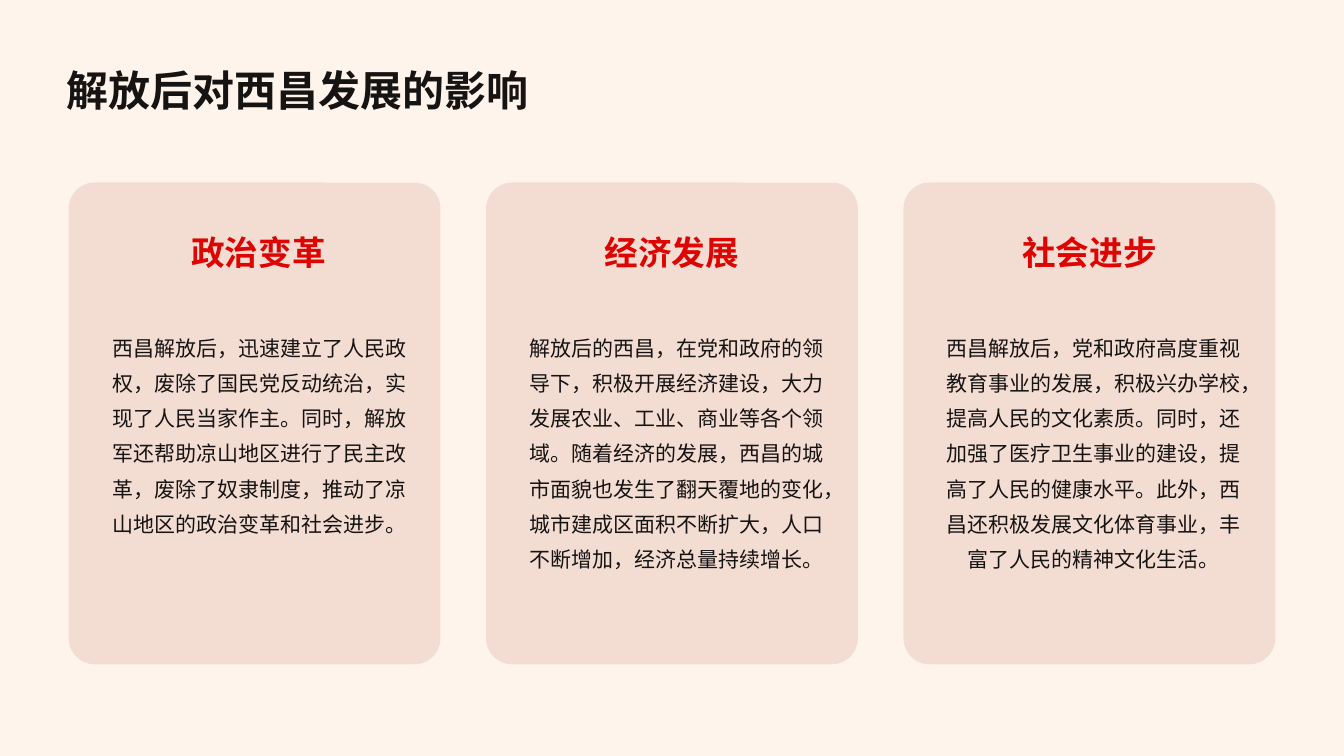
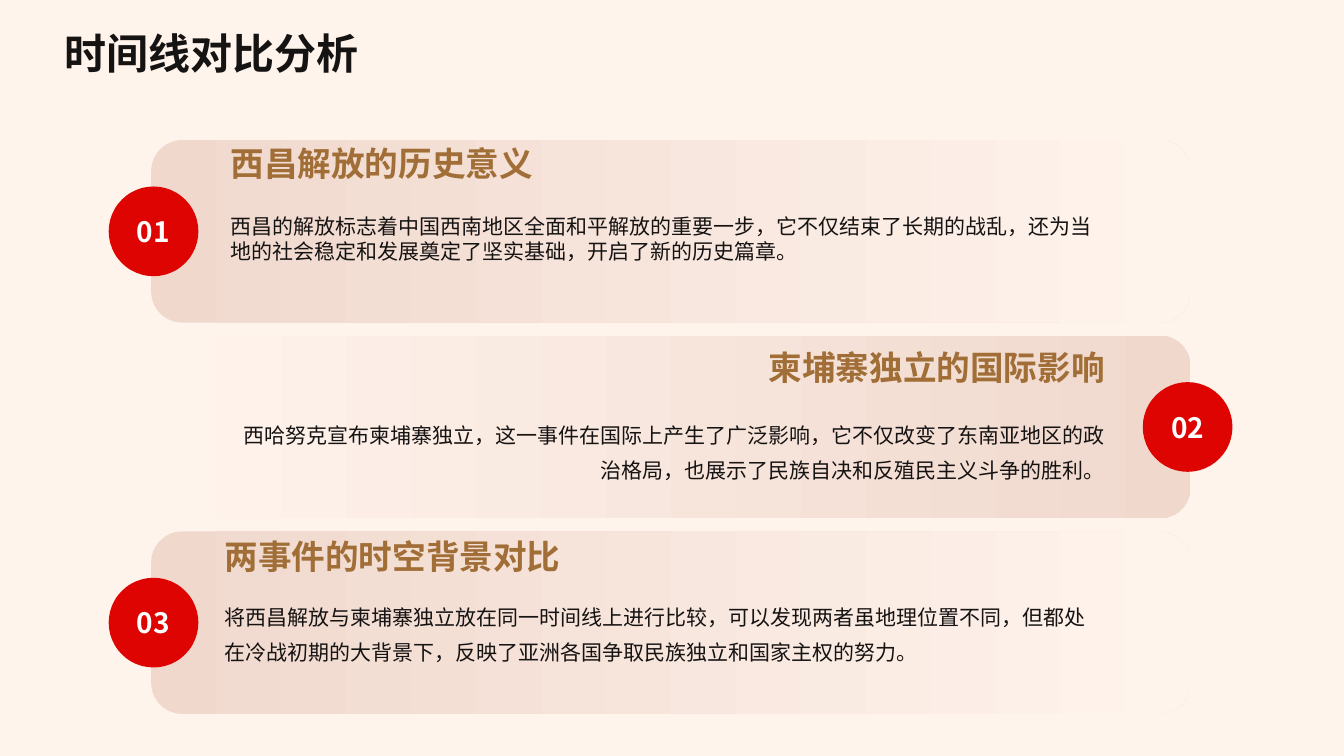
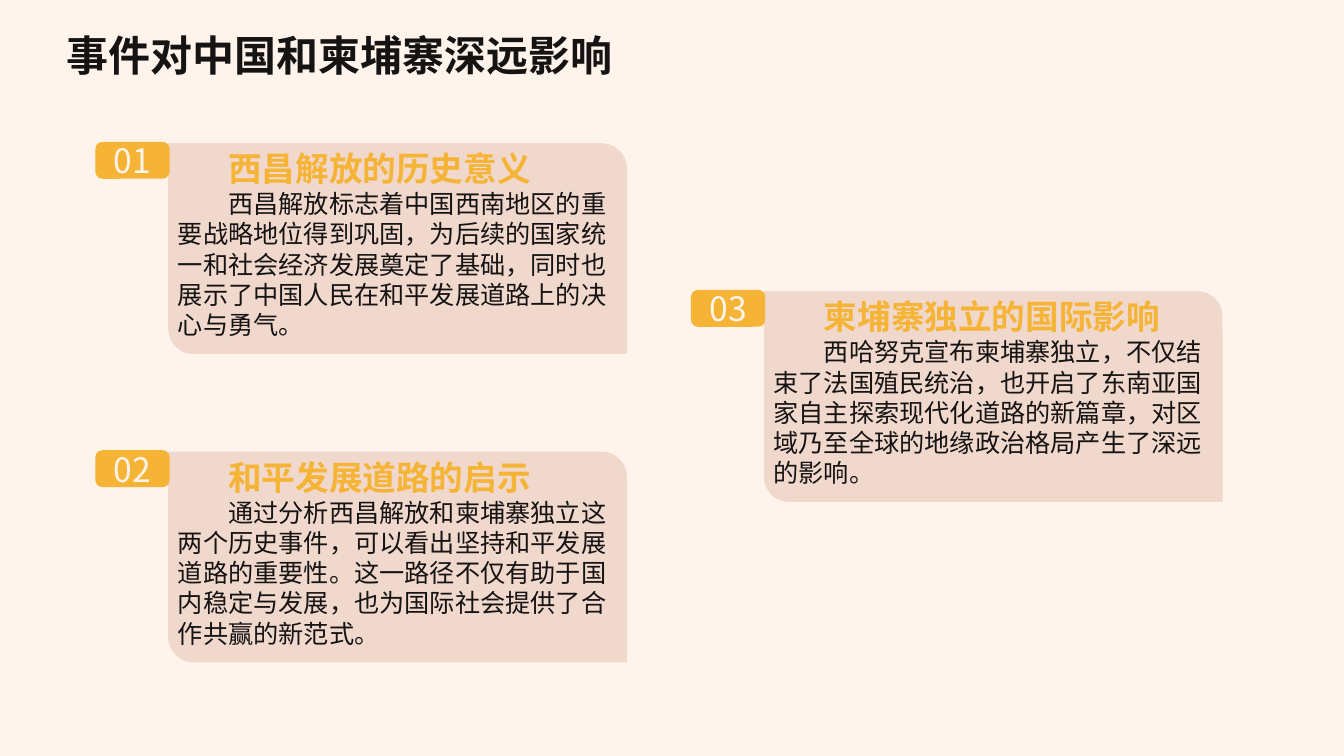
from dataclasses import dataclass

from lxml.etree import SubElement
from pptx import Presentation
from pptx.dml.color import RGBColor
from pptx.enum.shapes import MSO_SHAPE as Preset
from pptx.enum.text import MSO_ANCHOR as Anchor, MSO_AUTO_SIZE as AutoSize, PP_ALIGN as Align
from pptx.oxml.ns import qn
from pptx.util import Cm, Pt

CREAM = RGBColor(0xFF, 0xF4, 0xEC)
BLUSH = RGBColor(0xF0, 0xD8, 0xCD)
INK = RGBColor(0x16, 0x13, 0x13)
RED = RGBColor(0xDD, 0x04, 0x01)
BRONZE = RGBColor(0xA0, 0x6E, 0x36)
AMBER = RGBColor(0xF5, 0xB4, 0x36)
WHITE = RGBColor(0xFF, 0xFF, 0xFF)
FONT = "Noto Sans CJK SC"
NO_INSETS = (0, 0, 0, 0)


@dataclass(frozen=True)
class Style:
    size: float
    color: RGBColor
    bold: bool = False
    align: Align = Align.LEFT
    spacing: float = 1.0
    indent: float = 0


@dataclass(frozen=True)
class Card:
    heading: str
    body: str
    heading_shift: float = 0


@dataclass(frozen=True)
class Band:
    number: str
    heading: str
    body: str
    text_left: float
    heading_top: float
    body_top: float
    spacing: float = 1.4
    mirrored: bool = False


@dataclass(frozen=True)
class Panel:
    number: str
    heading: str
    body: str
    left: float
    top: float


TITLE = Style(30, INK, bold=True)
CARD_HEADING = Style(24, RED, bold=True, align=Align.CENTER)
CARD_BODY = Style(15, INK, align=Align.CENTER, spacing=1.4)
BADGE = Style(20, WHITE, bold=True, align=Align.CENTER)
PANEL_HEADING = Style(24, AMBER, bold=True, indent=1.27)
PANEL_BODY = Style(18, INK, indent=1.27)
TAB_NUMBER = Style(24, CREAM, align=Align.CENTER)

CARDS = [
    Card("政治变革", "西昌解放后，迅速建立了人民政权，废除了国民党反动统治，实现了人民当家作主。同时，解放军还帮助凉山地区进行了民主改革，废除了奴隶制度，推动了凉山地区的政治变革和社会进步。", 0.1),
    Card("经济发展", "解放后的西昌，在党和政府的领导下，积极开展经济建设，大力发展农业、工业、商业等各个领域。随着经济的发展，西昌的城市面貌也发生了翻天覆地的变化，城市建成区面积不断扩大，人口不断增加，经济总量持续增长。"),
    Card("社会进步", "西昌解放后，党和政府高度重视教育事业的发展，积极兴办学校，提高人民的文化素质。同时，还加强了医疗卫生事业的建设，提高了人民的健康水平。此外，西昌还积极发展文化体育事业，丰富了人民的精神文化生活。"),
]
BANDS = [
    Band("01", "西昌解放的历史意义", "西昌的解放标志着中国西南地区全面和平解放的重要一步，它不仅结束了长期的战乱，还为当地的社会稳定和发展奠定了坚实基础，开启了新的历史篇章。",
         5.51, 3.51, 5.23, spacing=1.0),
    Band("02", "柬埔寨独立的国际影响", "西哈努克宣布柬埔寨独立，这一事件在国际上产生了广泛影响，它不仅改变了东南亚地区的政治格局，也展示了民族自决和反殖民主义斗争的胜利。",
         5.36, 8.66, 10.24, mirrored=True),
    Band("03", "两事件的时空背景对比", "将西昌解放与柬埔寨独立放在同一时间线上进行比较，可以发现两者虽地理位置不同，但都处在冷战初期的大背景下，反映了亚洲各国争取民族独立和国家主权的努力。",
         5.36, 13.4, 14.83),
]
PANELS = [
    Panel("01", "西昌解放的历史意义", "西昌解放标志着中国西南地区的重要战略地位得到巩固，为后续的国家统一和社会经济发展奠定了基础，同时也展示了中国人民在和平发展道路上的决心与勇气。", 4.24, 3.61),
    Panel("02", "和平发展道路的启示", "通过分析西昌解放和柬埔寨独立这两个历史事件，可以看出坚持和平发展道路的重要性。这一路径不仅有助于国内稳定与发展，也为国际社会提供了合作共赢的新范式。", 4.24, 11.38),
    Panel("03", "柬埔寨独立的国际影响", "西哈努克宣布柬埔寨独立，不仅结束了法国殖民统治，也开启了东南亚国家自主探索现代化道路的新篇章，对区域乃至全球的地缘政治格局产生了深远的影响。", 19.25, 7.34),
]


def write(shape, lines: list[tuple[str, Style]], insets=NO_INSETS, anchor=Anchor.MIDDLE) -> None:
    frame = shape.text_frame
    frame.word_wrap = True
    frame.auto_size = AutoSize.NONE
    frame.vertical_anchor = anchor
    frame.margin_left, frame.margin_top, frame.margin_right, frame.margin_bottom = map(Cm, insets)
    for index, (text, style) in enumerate(lines):
        paragraph = frame.add_paragraph() if index else frame.paragraphs[0]
        paragraph.text = text
        paragraph.alignment = style.align
        paragraph.line_spacing = style.spacing
        font = paragraph.font
        font.size, font.bold, font.name = Pt(style.size), style.bold, FONT
        font.color.rgb = style.color
        properties = paragraph._p.get_or_add_pPr()
        SubElement(properties.find(qn("a:defRPr")), qn("a:ea"), typeface=FONT)
        if style.indent:
            properties.set("indent", str(Cm(style.indent)))


def add_text(slide, left: float, top: float, width: float, height: float,
             text: str, style: Style, insets=NO_INSETS, anchor=Anchor.MIDDLE) -> None:
    box = slide.shapes.add_textbox(Cm(left), Cm(top), Cm(width), Cm(height))
    write(box, [(text, style)], insets, anchor)


def add_block(slide, preset: Preset, left: float, top: float, width: float, height: float,
              color: RGBColor, corners: tuple[float, ...] = ()):
    block = slide.shapes.add_shape(preset, Cm(left), Cm(top), Cm(width), Cm(height))
    block.shadow.inherit = False
    block.fill.solid()
    block.fill.fore_color.rgb = color
    block.line.fill.background()
    for index, corner in enumerate(corners):
        block.adjustments[index] = corner
    return block


def add_titled_slide(deck, text: str, left: float, top: float):
    slide = deck.slides.add_slide(deck.slide_layouts[5])
    title = slide.shapes.title
    title.left, title.top, title.width, title.height = Cm(left), Cm(top), Cm(30.5), Cm(1.5)
    write(title, [(text, TITLE)])
    return slide


def draw_card(slide, card: Card, left: float) -> None:
    top, width = 4.6, 9.37
    block = add_block(slide, Preset.ROUNDED_RECTANGLE, left, top, width, 12.14, BLUSH, (0.07,))
    color = block.fill._xPr.find(qn("a:solidFill"))[0]
    SubElement(color, qn("a:alpha"), val="80000")
    add_text(slide, left + card.heading_shift, top + 0.79, width, 1.9, card.heading, CARD_HEADING)
    add_text(slide, left + 0.53, top + 3.23, 8.33, 7.87, card.body, CARD_BODY,
             (0.36, 0.36, 0.15, 0.36), Anchor.TOP)


def draw_band(slide, band: Band, top: float) -> None:
    block = add_block(slide, Preset.ROUNDED_RECTANGLE, 3.81, top, 26.19, 4.6, BLUSH, (0.17,))
    block.fill.gradient()
    block.fill.gradient_angle = 0
    shades = (CREAM, BLUSH) if band.mirrored else (BLUSH, CREAM)
    for stop, shade in zip(block.fill.gradient_stops, shades):
        stop.color.rgb = shade
    badge = add_block(slide, Preset.OVAL, 28.8 if band.mirrored else 2.74, top + 1.17, 2.26, 2.26, RED)
    write(badge, [(band.number, BADGE)])
    align = Align.RIGHT if band.mirrored else Align.LEFT
    heading = Style(24, BRONZE, bold=True, align=align)
    body = Style(15, INK, align=align, spacing=band.spacing)
    insets = (0.3, 0.15, 0.3, 0.15)
    add_text(slide, band.text_left, band.heading_top, 22.78, 1.2, band.heading, heading, (0.3, 0, 0.3, 0))
    add_text(slide, band.text_left, band.body_top, 22.78, 2.16, band.body, body, insets, Anchor.TOP)


def draw_panel(slide, panel: Panel) -> None:
    block = add_block(slide, Preset.ROUND_2_DIAG_RECTANGLE, panel.left, panel.top, 11.56, 5.31,
                      BLUSH, (0, 0.12))
    write(block, [(panel.heading, PANEL_HEADING), (panel.body, PANEL_BODY)],
          (0.06, -0.06, 0.06, 0), Anchor.TOP)
    tab = add_block(slide, Preset.ROUNDED_RECTANGLE, panel.left - 1.8, panel.top, 1.8, 0.86, AMBER)
    tab.line.color.rgb = AMBER
    tab.line.width = Pt(2)
    write(tab, [(panel.number, TAB_NUMBER)])


def main() -> None:
    deck = Presentation()
    deck.slide_width, deck.slide_height = Cm(33.87), Cm(19.05)
    background = deck.slide_master.background.fill
    background.solid()
    background.fore_color.rgb = CREAM

    influence = add_titled_slide(deck, "解放后对西昌发展的影响", 1.68, 1.52)
    for column, card in enumerate(CARDS):
        draw_card(influence, card, 1.73 + column * 10.52)

    timeline = add_titled_slide(deck, "时间线对比分析", 1.63, 0.59)
    for row, band in enumerate(BANDS):
        draw_band(timeline, band, 3.53 + row * 4.93)

    impact = add_titled_slide(deck, "事件对中国和柬埔寨深远影响", 1.68, 0.64)
    for panel in PANELS:
        draw_panel(impact, panel)

    deck.save("out.pptx")


if __name__ == "__main__":
    main()
